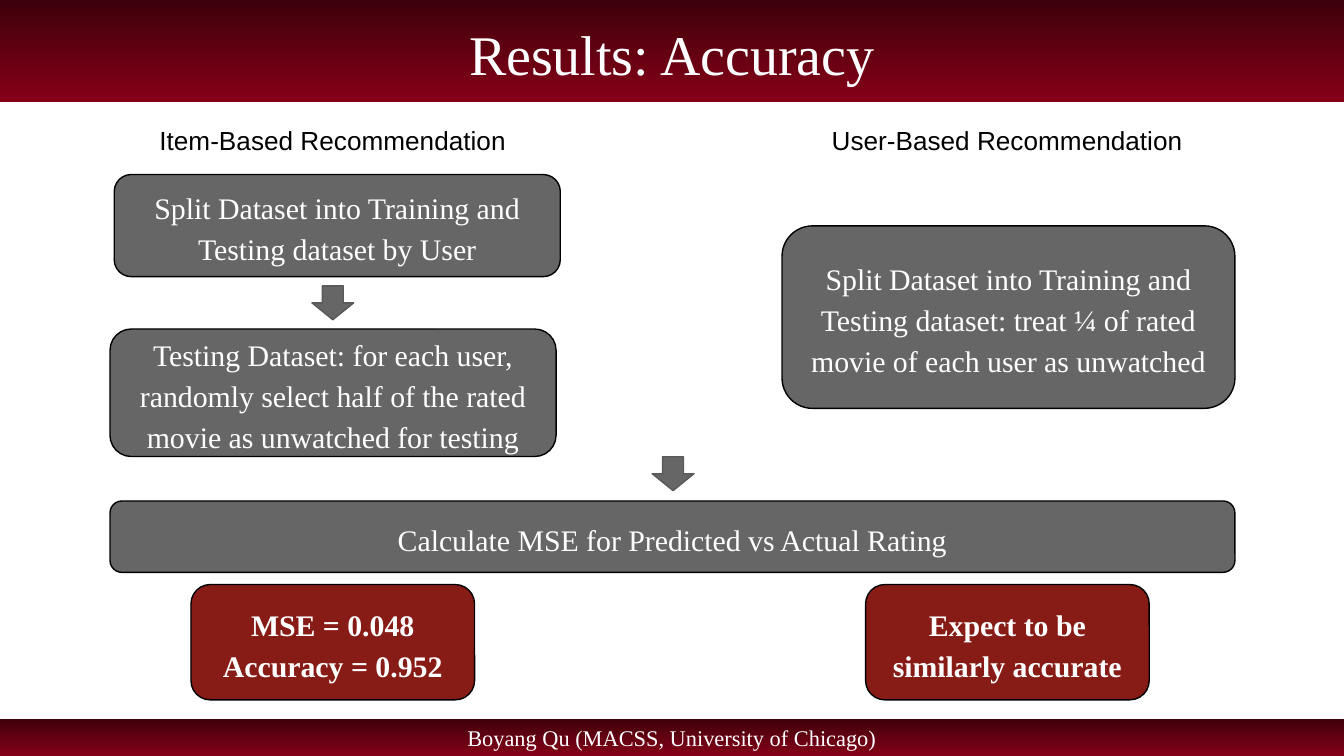
import pptx
import pptx.dml.color
import pptx.enum.shapes
import pptx.enum.text
import pptx.util

Cm = pptx.util.Cm
Pt = pptx.util.Pt
RGBColor = pptx.dml.color.RGBColor
SHAPES = pptx.enum.shapes.MSO_SHAPE
ANCHOR = pptx.enum.text.MSO_ANCHOR

WHITE = RGBColor(0xFF, 0xFF, 0xFF)
BLACK = RGBColor(0x00, 0x00, 0x00)
GRAY = RGBColor(0x66, 0x66, 0x66)
ARROW_EDGE = RGBColor(0x59, 0x59, 0x59)
RED = RGBColor(0x87, 0x1B, 0x16)
DARK_MAROON = RGBColor(0x3E, 0x00, 0x0B)
MAROON = RGBColor(0x86, 0x00, 0x18)

SERIF = "Times New Roman"
SANS = "Arial"
PAGE_WIDTH = 25.4
PAGE_HEIGHT = 14.29
LEFT_EDGE = 2.08
STEP_WIDTH = 8.43
RESULT_TOP = 11.05
RESULT_SIZE = (5.36, 2.18)


def write_text(shape, text, size, color, font=SERIF, bold=False,
               anchor=ANCHOR.MIDDLE, margins=(0.25, 0.25), line_spacing=None):
    """Fill a shape with centred text; margins are (sides, top and bottom)."""
    frame = shape.text_frame
    frame.text = text
    frame.word_wrap = True
    frame.vertical_anchor = anchor
    frame.margin_left = frame.margin_right = Cm(margins[0])
    frame.margin_top = frame.margin_bottom = Cm(margins[1])
    for para in frame.paragraphs:
        para.alignment = pptx.enum.text.PP_ALIGN.CENTER
        if line_spacing:
            para.line_spacing = line_spacing
        for span in para.runs:
            span.font.name = font
            span.font.size = Pt(size)
            span.font.bold = bold
            span.font.color.rgb = color


def add_solid(page, kind, left, top, width, height, fill, edge):
    shape = page.shapes.add_shape(kind, Cm(left), Cm(top), Cm(width), Cm(height))
    shape.shadow.inherit = False
    shape.fill.solid()
    shape.fill.fore_color.rgb = fill
    shape.line.color.rgb = edge
    shape.line.width = Pt(0.75)
    return shape


def add_band(page, top, height, text, size):
    band = page.shapes.add_shape(SHAPES.RECTANGLE, 0, Cm(top), Cm(PAGE_WIDTH), Cm(height))
    band.shadow.inherit = False
    band.line.fill.background()
    band.fill.gradient()
    band.fill.gradient_angle = 270
    for stop, color in zip(band.fill.gradient_stops, (DARK_MAROON, MAROON)):
        stop.color.rgb = color
    write_text(band, text, size, WHITE, margins=(0.05, 0.03))
    return band


def add_box(page, left, top, width, height, text, fill=GRAY, bold=False):
    box = add_solid(page, SHAPES.ROUNDED_RECTANGLE, left, top, width, height, fill, BLACK)
    write_text(box, text, 16, WHITE, bold=bold, line_spacing=1.15)


def add_down_arrow(page, left, top):
    arrow = add_solid(page, SHAPES.RIGHT_ARROW, left, top, 0.64, 0.79, GRAY, ARROW_EDGE)
    arrow.rotation = 90


def add_heading(page, left, width, height, text):
    box = page.shapes.add_textbox(Cm(left), Cm(2.11), Cm(width), Cm(height))
    write_text(box, text, 14, BLACK, font=SANS, anchor=ANCHOR.TOP)


def main():
    deck = pptx.Presentation()
    deck.slide_width = Cm(PAGE_WIDTH)
    deck.slide_height = Cm(PAGE_HEIGHT)
    page = deck.slides.add_slide(deck.slide_layouts[6])

    # Title and footer bands
    title = add_band(page, 0, 1.93, "Results: Accuracy", 30)
    title.text_frame.margin_top = Cm(0.12)
    add_band(page, 13.59, 0.7, "Boyang Qu (MACSS, University of Chicago)", 12)

    # Item-based column
    add_heading(page, 2.34, 7.9, 0.91, "Item-Based Recommendation")
    add_box(page, 2.16, 3.3, STEP_WIDTH, 1.93,
            "Split Dataset into Training and Testing dataset by User")
    add_down_arrow(page, 5.97, 5.33)
    add_box(page, LEFT_EDGE, 6.22, STEP_WIDTH, 2.41,
            "Testing Dataset: for each user, randomly select half of the rated "
            "movie as unwatched for testing")

    # User-based column
    add_heading(page, 15.44, 7.19, 1.14, "User-Based Recommendation")
    add_box(page, 14.78, 4.27, 8.56, 3.45,
            "Split Dataset into Training and Testing dataset: treat ¼ of rated "
            "movie of each user as unwatched")

    # Shared step
    add_down_arrow(page, 12.4, 8.56)
    add_box(page, LEFT_EDGE, 9.47, 21.26, 1.35,
            "Calculate MSE for Predicted vs Actual Rating")

    # Results
    for left, text in ((3.61, "MSE = 0.048\nAccuracy = 0.952"),
                       (16.36, "Expect to be similarly accurate")):
        add_box(page, left, RESULT_TOP, *RESULT_SIZE, text, fill=RED, bold=True)

    deck.save("out.pptx")


if __name__ == "__main__":
    main()
